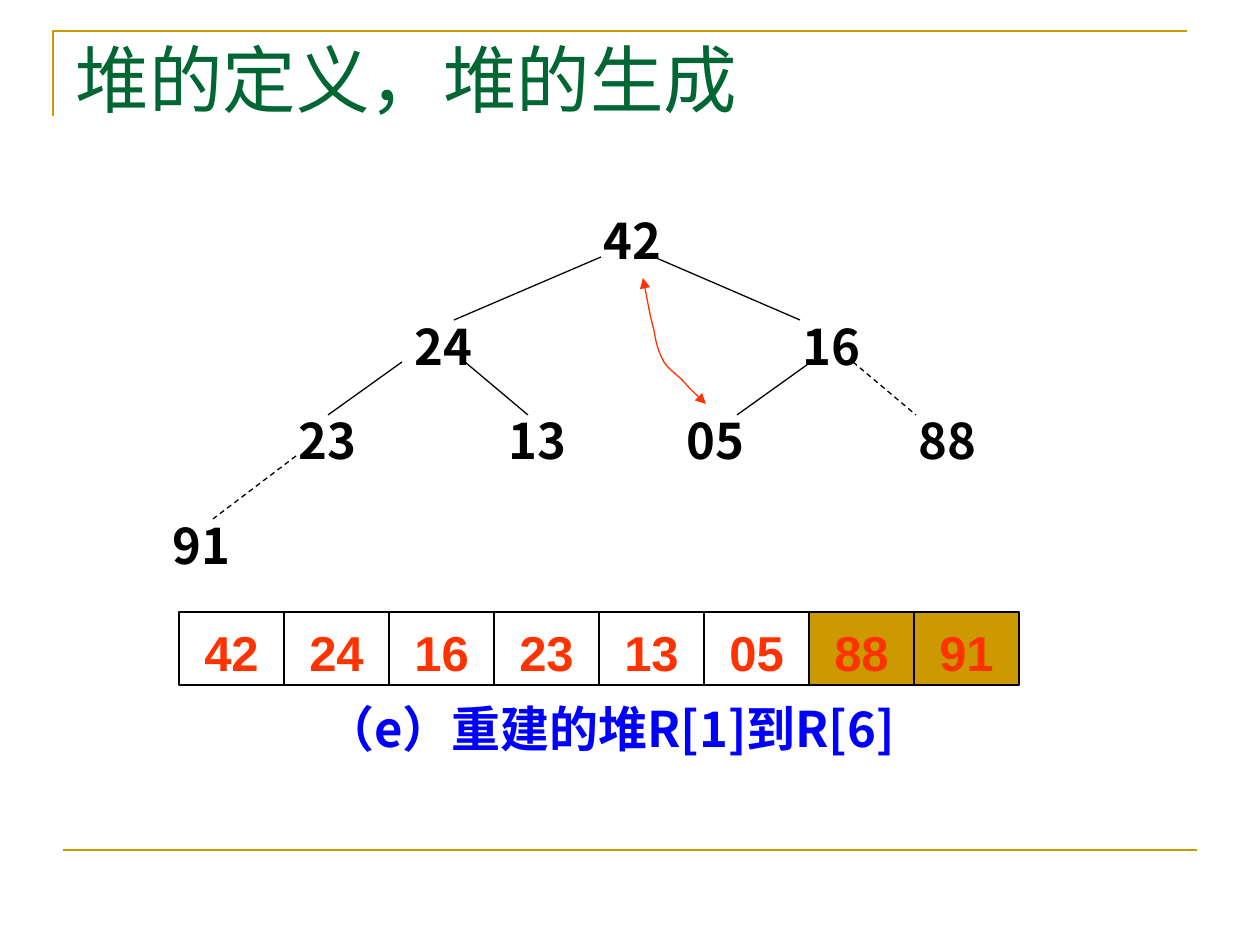
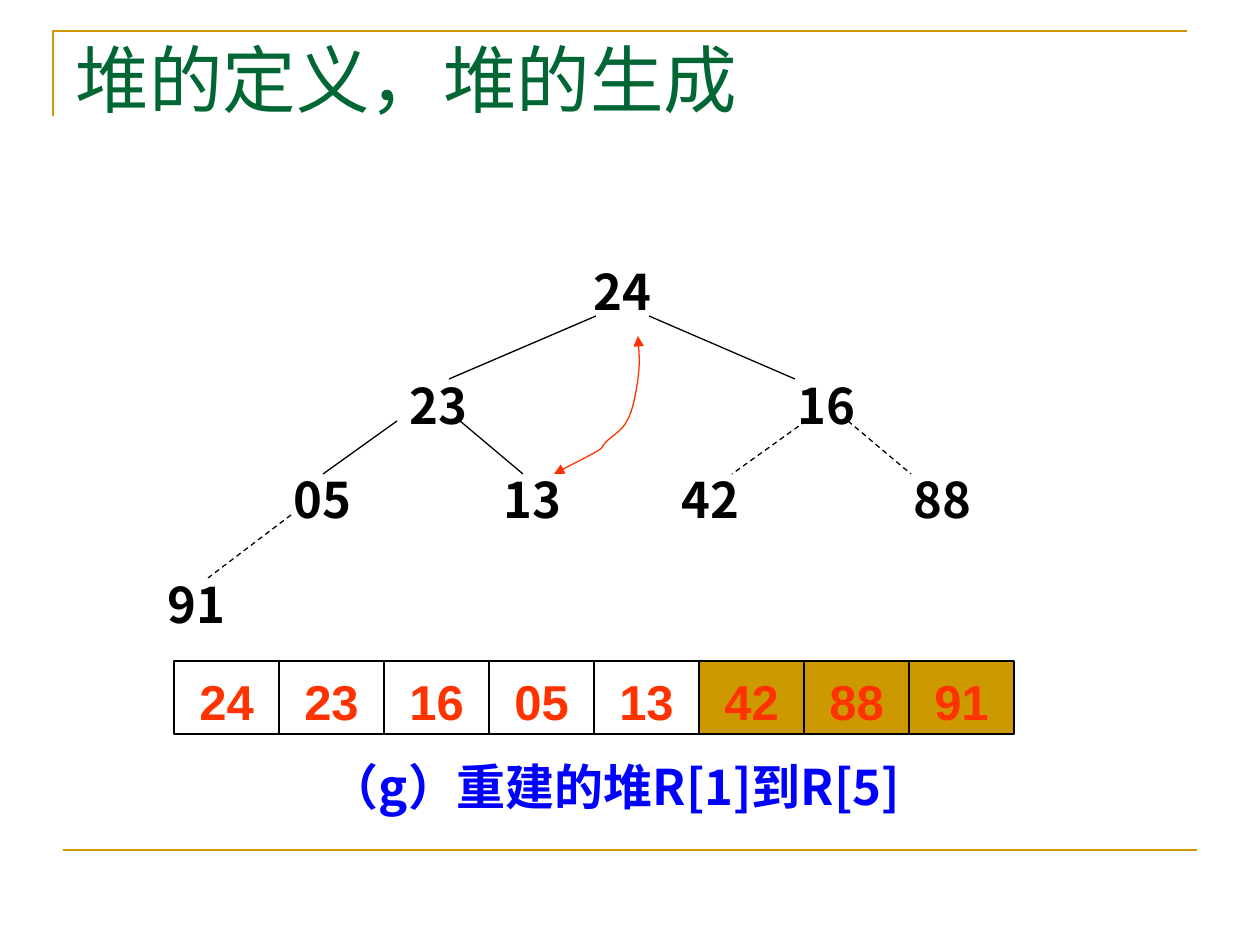
from dataclasses import dataclass
from typing import Any, NamedTuple

from lxml import etree
from pptx import Presentation
from pptx import util as u
from pptx.dml.color import RGBColor
from pptx.enum import dml, shapes, text
from pptx.oxml.ns import qn

SCALE = 914400 / 126  # EMU in one px


class Point(NamedTuple):
    x: int
    y: int


class Box(NamedTuple):
    x: int
    y: int
    width: int
    height: int


class TextStyle(NamedTuple):
    latin: str
    east_asian: str
    size: int
    color: str
    bold: bool


@dataclass(frozen=True)
class Theme:
    accent: str = "CC9900"
    ink: str = "000000"
    swap: str = "FF3300"
    rule_width: float = 1.5
    thin_width: float = 0.75
    title: TextStyle = TextStyle("Times New Roman", "Noto Sans CJK SC", 42, "006633", False)
    node: TextStyle = TextStyle("Noto Sans CJK SC", "Noto Sans CJK SC", 28, "000000", True)
    cell: TextStyle = TextStyle("Arial", "Arial", 28, "FF3300", True)
    caption: TextStyle = TextStyle("Noto Sans CJK SC", "Noto Sans CJK SC", 28, "0000FF", True)


@dataclass(frozen=True)
class HeapStep:
    values: list[str]
    heap_size: int
    shift: Point
    root: Point
    cells: Point
    caption_at: Point
    caption: str
    swap_curve: list[Point]


THEME = Theme()
TITLE = "堆的定义，堆的生成"

# Tree layout in level order; edge i leads to child i + 1
NODE_WIDTH, NODE_HEIGHT = 84, 72
CHILD_NODES = [Point(402, 310), Point(790, 310), Point(286, 404), Point(496, 404),
               Point(674, 404), Point(906, 404), Point(160, 509)]
EDGES = [(Point(601, 257), Point(454, 320)), (Point(654, 257), Point(800, 320)),
         (Point(402, 362), Point(328, 415)), (Point(465, 362), Point(528, 415)),
         (Point(811, 362), Point(737, 415)), (Point(853, 362), Point(916, 415)),
         (Point(296, 456), Point(213, 519))]
CELL_WIDTH, CELL_HEIGHT = 105, 73

STEPS = [
    HeapStep(
        ["42", "24", "16", "23", "13", "05", "88", "91"], 6,
        Point(0, 0), Point(591, 204), Point(179, 612), Point(248, 692),
        "（e）重建的堆R[1]到R[6]",
        [Point(706, 404), Point(699, 397), Point(692, 391), Point(685, 383),
         Point(678, 375), Point(669, 370), Point(664, 362),
         Point(659, 353), Point(656, 344), Point(654, 330),
         Point(650, 316), Point(647, 297), Point(643, 278)]),
    HeapStep(
        ["24", "23", "16", "05", "13", "42", "88", "91"], 5,
        Point(-5, 59), Point(581, 255), Point(174, 661), Point(253, 750),
        "（g）重建的堆R[1]到R[5]",
        [Point(554, 474), Point(571, 465), Point(587, 457), Point(596, 452),
         Point(605, 447), Point(601, 447), Point(606, 442),
         Point(612, 436), Point(622, 431), Point(627, 421),
         Point(633, 411), Point(636, 393), Point(638, 379),
         Point(640, 364), Point(639, 350), Point(638, 336)]),
]


def emu(px: int) -> u.Emu:
    return u.Emu(round(px * SCALE))


def moved(point: Point, shift: Point) -> Point:
    return Point(point.x + shift.x, point.y + shift.y)


def apply(target: Any, values: dict[str, Any]) -> None:
    for name, value in values.items():
        setattr(target, name, value)


def write(shape: Any, words: str, style: TextStyle, para_format: dict[str, Any],
          frame_format: dict[str, Any]) -> None:
    """Put one styled paragraph in a shape."""
    frame = shape.text_frame
    apply(frame, frame_format)
    para = frame.paragraphs[0]
    apply(para, para_format)
    span = para.add_run()
    span.text = words
    apply(span.font, {"name": style.latin, "size": u.Pt(style.size), "bold": style.bold})
    span.font.color.rgb = RGBColor.from_string(style.color)
    east_asian = etree.SubElement(span.font._element, qn("a:ea"))
    east_asian.set("typeface", style.east_asian)


def set_line(shape: Any, color: str, width: float, dashed: bool = False) -> None:
    shape.line.color.rgb = RGBColor.from_string(color)
    shape.line.width = u.Pt(width)
    if dashed:
        shape.line.dash_style = dml.MSO_LINE.DASH


def add_line(page: Any, start: Point, end: Point, color: str, width: float,
             dashed: bool = False) -> None:
    line = page.shapes.add_connector(
        shapes.MSO_CONNECTOR.STRAIGHT, *(emu(px) for px in (*start, *end)))
    set_line(line, color, width, dashed)
    etree.SubElement(line._element.spPr, qn("a:effectLst"))


def add_outline(page: Any, points: list[Point], color: str, width: float) -> Any:
    """Draw an open, unfilled outline."""
    builder = page.shapes.build_freeform(*points[0], scale=SCALE)
    builder.add_line_segments(points[1:], close=False)
    outline = builder.convert_to_shape()
    outline.fill.background()
    set_line(outline, color, width)
    outline.shadow.inherit = False
    return outline


def add_swap_arrow(page: Any, points: list[Point]) -> None:
    """Draw a double-headed curve from groups of three Bezier points."""
    curve = add_outline(page, points, THEME.swap, THEME.thin_width)
    segments = curve._element.xpath(".//a:lnTo")
    for first in range(0, len(segments), 3):
        bezier = etree.Element(qn("a:cubicBezTo"))
        segments[first].addprevious(bezier)
        for segment in segments[first:first + 3]:
            bezier.append(segment[0])
            segment.getparent().remove(segment)
    for end in ("a:headEnd", "a:tailEnd"):
        etree.SubElement(curve.line._get_or_add_ln(), qn(end)).set("type", "triangle")


def add_label(page: Any, box: Box, words: str, style: TextStyle,
              align: text.PP_ALIGN, wrap: bool) -> None:
    label = page.shapes.add_textbox(*(emu(px) for px in box))
    write(label, words, style, {"alignment": align},
          {"word_wrap": wrap, "vertical_anchor": text.MSO_ANCHOR.MIDDLE})


def add_cell(page: Any, box: Box, words: str, sorted_out: bool) -> None:
    cell = page.shapes.add_shape(shapes.MSO_SHAPE.RECTANGLE, *(emu(px) for px in box))
    cell.shadow.inherit = False
    if sorted_out:
        cell.fill.solid()
        cell.fill.fore_color.rgb = RGBColor.from_string(THEME.accent)
    else:
        cell.fill.background()
    set_line(cell, THEME.ink, THEME.thin_width)
    write(cell, words, THEME.cell, {"alignment": text.PP_ALIGN.CENTER},
          {"vertical_anchor": text.MSO_ANCHOR.MIDDLE,
           "margin_top": emu(12), "margin_bottom": emu(5)})


def add_page(deck: Any) -> Any:
    """Start a page with the shared frame and title."""
    page = deck.slides.add_slide(deck.slide_layouts[5])
    add_outline(page, [Point(53, 116), Point(53, 31), Point(1187, 31)],
                THEME.accent, THEME.rule_width)
    add_line(page, Point(63, 850), Point(1197, 850), THEME.accent, THEME.rule_width)
    title = page.shapes.title
    apply(title, dict(zip(("left", "top", "width", "height"),
                          (emu(px) for px in Box(63, 38, 1134, 158)))))
    write(title, TITLE, THEME.title,
          {"alignment": text.PP_ALIGN.LEFT, "line_spacing": 0.9},
          {"word_wrap": True, "vertical_anchor": text.MSO_ANCHOR.TOP,
           "auto_size": text.MSO_AUTO_SIZE.NONE})
    return page


def draw_step(page: Any, step: HeapStep) -> None:
    # Caption
    add_label(page, Box(*step.caption_at, 724, NODE_HEIGHT), step.caption,
              THEME.caption, text.PP_ALIGN.CENTER, True)

    # Tree: links to values outside the heap are dashed
    nodes = [step.root] + [moved(node, step.shift) for node in CHILD_NODES]
    for node, value in zip(nodes, step.values):
        add_label(page, Box(*node, NODE_WIDTH, NODE_HEIGHT), value,
                  THEME.node, text.PP_ALIGN.LEFT, False)
    for child, (start, end) in enumerate(EDGES, start=1):
        add_line(page, moved(start, step.shift), moved(end, step.shift),
                 THEME.ink, THEME.thin_width, child >= step.heap_size)

    # Array: values outside the heap are shaded
    for index, value in enumerate(step.values):
        add_cell(page, Box(step.cells.x + index * CELL_WIDTH, step.cells.y,
                           CELL_WIDTH, CELL_HEIGHT), value, index >= step.heap_size)

    # Next exchange
    add_swap_arrow(page, step.swap_curve)


def main() -> None:
    deck = Presentation()
    deck.slide_width, deck.slide_height = emu(1260), emu(945)
    for step in STEPS:
        draw_step(add_page(deck), step)
    deck.save("out.pptx")


if __name__ == "__main__":
    main()
